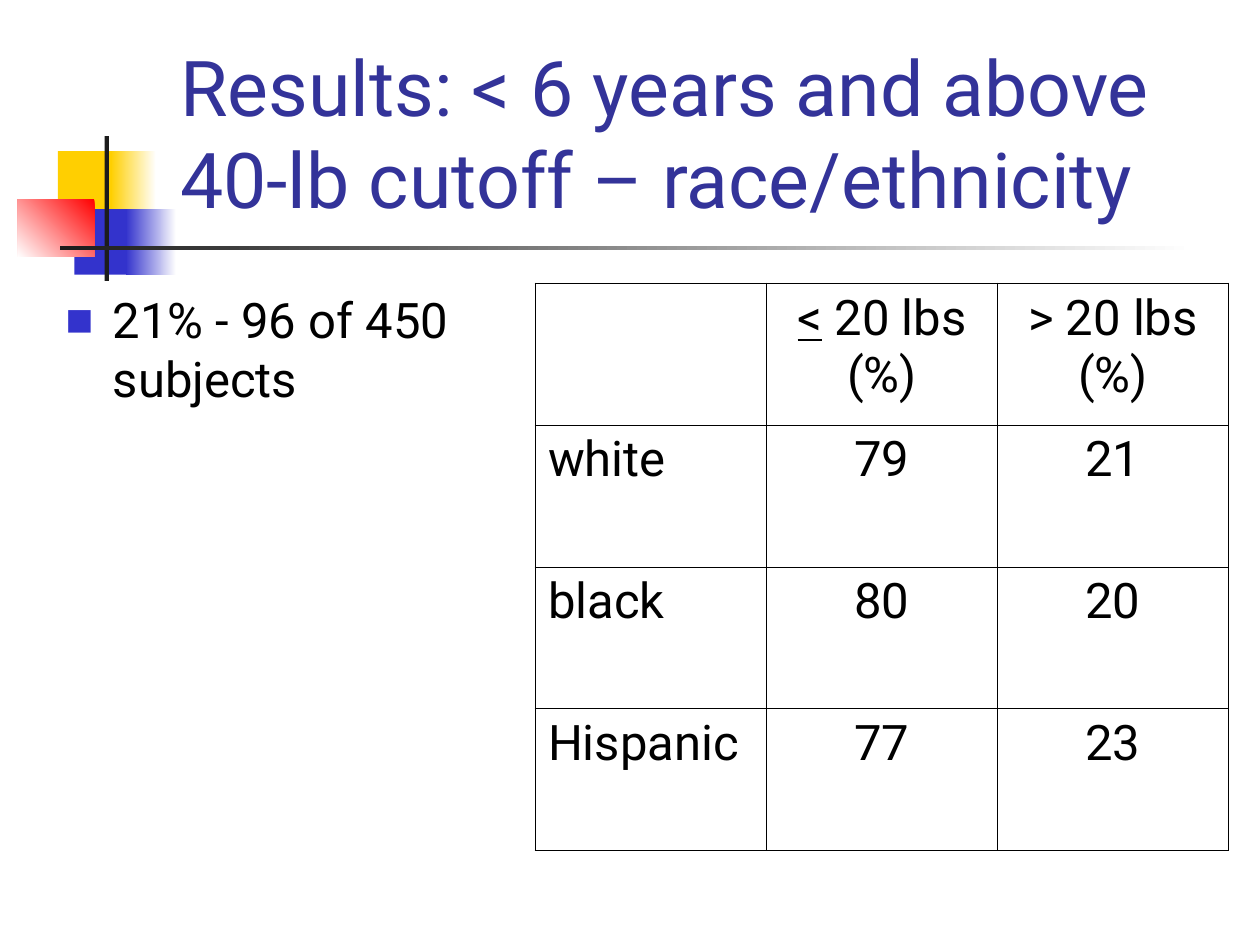
from lxml.etree import SubElement
from pptx import Presentation
from pptx.dml.color import RGBColor
from pptx.enum.shapes import MSO_SHAPE
from pptx.enum.text import MSO_ANCHOR, MSO_AUTO_SIZE, PP_ALIGN
from pptx.oxml.ns import qn
from pptx.util import Pt

WHITE = RGBColor(0xFF, 0xFF, 0xFF)
BLACK = RGBColor(0x00, 0x00, 0x00)
CHARCOAL = RGBColor(0x1C, 0x1C, 0x1C)
YELLOW = RGBColor(0xFF, 0xCF, 0x01)
BLUE = RGBColor(0x33, 0x33, 0xCC)
RED = RGBColor(0xFF, 0x00, 0x00)
NAVY = RGBColor(0x33, 0x33, 0x99)

FONT = "Roboto"
THIN, THICK = 0.45, 1.08

DECORATIONS = [
    ((33.12, 86.4, 34.56, 37.44), [YELLOW], 0),
    ((63.36, 86.4, 25.92, 37.44), [WHITE, YELLOW], 180),
    ((42.48, 119.52, 33.12, 37.44), [BLUE], 0),
    ((72, 119.52, 28.8, 37.44), [WHITE, BLUE], 180),
    ((10.08, 113.76, 43.92, 33.12), [RED, WHITE], 225),
    ((59.76, 77.76, 2.5, 82.8), [CHARCOAL], 0),
    ((34.56, 140.4, 648, 2.5), [WHITE, CHARCOAL], 180),
]

TABLE_ROWS = [
    ["", "< 20 lbs (%)", "> 20 lbs (%)"],
    ["white", "79", "21"],
    ["black", "80", "20"],
    ["Hispanic", "77", "23"],
]


def add_text(paragraph, text, size=28, color=BLACK, align=PP_ALIGN.LEFT, underline=False):
    paragraph.alignment = align
    paragraph.space_before = Pt(0)
    run = paragraph.add_run()
    run.text = text
    run.font.name = FONT
    run.font.size = Pt(size)
    run.font.color.rgb = color
    run.font.underline = underline


def add_decoration(slide, box, colors, angle):
    shape = slide.shapes.add_shape(MSO_SHAPE.RECTANGLE, *map(Pt, box))
    shape.shadow.inherit = False
    shape.line.fill.background()
    if len(colors) == 1:
        shape.fill.solid()
        shape.fill.fore_color.rgb = colors[0]
    else:
        shape.fill.gradient()
        shape.fill.gradient_angle = angle
        for stop, color in zip(shape.fill.gradient_stops, colors):
            stop.color.rgb = color


def place_placeholder(shape, box, anchor):
    shape.left, shape.top, shape.width, shape.height = map(Pt, box)
    frame = shape.text_frame
    frame.word_wrap = True
    frame.auto_size = MSO_AUTO_SIZE.NONE
    frame.vertical_anchor = anchor
    return frame.paragraphs[0]


def add_bullet(paragraph, color):
    properties = paragraph._p.get_or_add_pPr()
    properties.set("marL", str(Pt(27)))
    properties.set("indent", str(-Pt(27)))
    bullet_color = SubElement(properties, qn("a:buClr"))
    SubElement(bullet_color, qn("a:srgbClr"), val=str(color))
    SubElement(properties, qn("a:buSzPct"), val="60000")
    SubElement(properties, qn("a:buFont"), typeface=FONT)
    SubElement(properties, qn("a:buChar"), char="■")


def set_borders(cell, widths):
    properties = cell._tc.get_or_add_tcPr()
    for side, width in zip("LRTB", widths):
        line = SubElement(properties, qn(f"a:ln{side}"), w=str(Pt(width)))
        fill = SubElement(line, qn("a:solidFill"))
        SubElement(fill, qn("a:srgbClr"), val=str(BLACK))


def add_results_table(slide, rows, left, top, column_width, row_height):
    row_count, column_count = len(rows), len(rows[0])
    table = slide.shapes.add_table(
        row_count, column_count, Pt(left), Pt(top),
        Pt(column_width * column_count), Pt(row_height * row_count),
    ).table
    table.first_row = False
    table.horz_banding = False
    for row_index, row in enumerate(rows):
        for column_index, text in enumerate(row):
            cell = table.cell(row_index, column_index)
            outer_edges = (
                column_index == 0, column_index == column_count - 1,
                row_index == 0, row_index == row_count - 1,
            )
            set_borders(cell, [THICK if outer else THIN for outer in outer_edges])
            cell.fill.background()
            paragraph = cell.text_frame.paragraphs[0]
            align = PP_ALIGN.CENTER if column_index else PP_ALIGN.LEFT
            if text.startswith("<"):
                add_text(paragraph, "<", align=align, underline=True)
                text = text[1:]
            if text:
                add_text(paragraph, text, align=align)


def main():
    presentation = Presentation()
    presentation.slide_width, presentation.slide_height = Pt(720), Pt(540)
    slide = presentation.slides.add_slide(presentation.slide_layouts[1])
    for box, colors, angle in DECORATIONS:
        add_decoration(slide, box, colors, angle)

    title = place_placeholder(slide.shapes.title, (95.76, 16.56, 608.4, 115.2), MSO_ANCHOR.BOTTOM)
    add_text(title, "Results: < 6 years and above 40-lb cutoff – race/ethnicity", size=44, color=NAVY)

    body = place_placeholder(slide.placeholders[1], (30.24, 162, 329.76, 324), MSO_ANCHOR.TOP)
    add_bullet(body, BLUE)
    add_text(body, "21% - 96 of 450 subjects")

    add_results_table(slide, TABLE_ROWS, left=306, top=162, column_width=132, row_height=81)
    presentation.save("out.pptx")


if __name__ == "__main__":
    main()
